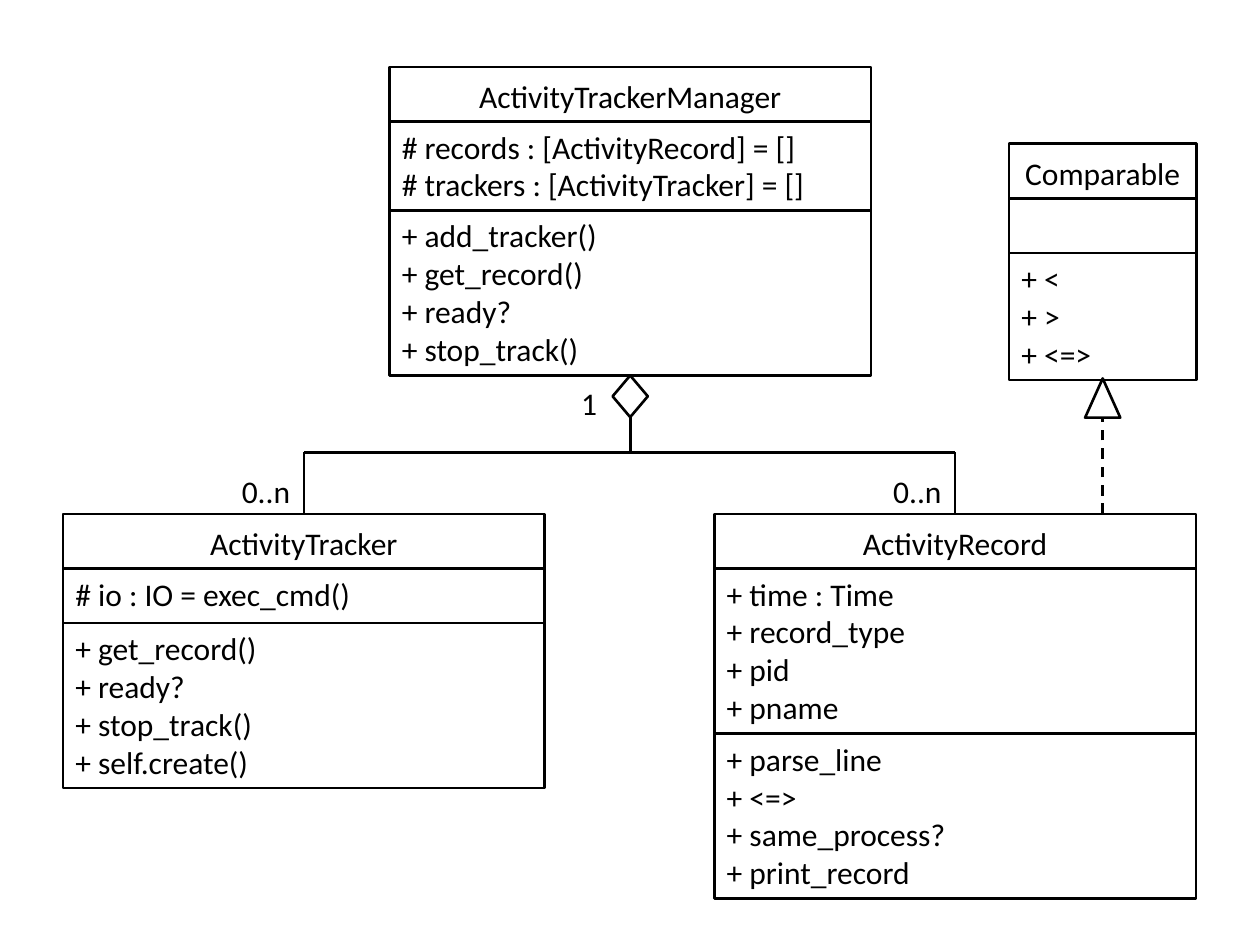
from dataclasses import dataclass

from lxml import etree
from pptx import Presentation
from pptx.dml.color import RGBColor
from pptx.enum.dml import MSO_LINE
from pptx.enum.shapes import MSO_CONNECTOR, MSO_SHAPE
from pptx.enum.text import MSO_AUTO_SIZE, PP_ALIGN
from pptx.oxml.ns import qn
from pptx.util import Cm, Pt

BLACK = RGBColor(0x00, 0x00, 0x00)
WHITE = RGBColor(0xFF, 0xFF, 0xFF)
STRAIGHT = MSO_CONNECTOR.STRAIGHT
RECTANGLE = MSO_SHAPE.RECTANGLE
DIAMOND = MSO_SHAPE.DIAMOND
TRIANGLE = MSO_SHAPE.ISOSCELES_TRIANGLE
DASH = MSO_LINE.DASH
LEFT, CENTER = PP_ALIGN.LEFT, PP_ALIGN.CENTER
FIT_SHAPE = MSO_AUTO_SIZE.SHAPE_TO_FIT_TEXT

FONT = "Calibri"
ROW = 1.1          # height of a title row and least height of a section, cm
LINE_HEIGHT = 0.77
TEXT_MARGIN = 0.25
TITLE_DROP = 0.08
SYMBOL_WIDTH = 0.71


@dataclass
class UmlClass:
    """A class box: place in cm, and each text with its width in cm."""
    left: float
    top: float
    width: float
    title: tuple
    sections: list

    @property
    def center(self):
        return self.left + self.width / 2

    @property
    def bottom(self):
        return self.top + ROW + sum(section_height(lines) for lines, _ in self.sections)


MANAGER = UmlClass(7.85, 1.35, 9.71, ("ActivityTrackerManager", 6.76), [
    (["# records : [ActivityRecord] = []", "# trackers : [ActivityTracker] = []"], 8.81),
    (["+ add_tracker()", "+ get_record()", "+ ready?", "+ stop_track()"], 4.52)])
TRACKER = UmlClass(1.27, 10.36, 9.71, ("ActivityTracker", 4.39), [
    (["# io : IO = exec_cmd()"], 6.15),
    (["+ get_record()", "+ ready?", "+ stop_track()", "+ self.create()"], 4.24)])
RECORD = UmlClass(14.4, 10.36, 9.71, ("ActivityRecord", 4.29), [
    (["+ time : Time", "+ record_type", "+ pid", "+ pname"], 4.17),
    (["+ parse_line", "+ <=>", "+ same_process?", "+ print_record"], 4.98)])
COMPARABLE = UmlClass(20.34, 2.9, 3.78, ("Comparable", 3.68), [
    ([], 0),
    (["+ <", "+ >", "+ <=>"], 1.93)])


def text_height(lines):
    """Return the height in cm of a text box with these lines."""
    return TEXT_MARGIN + LINE_HEIGHT * len(lines)


def section_height(lines):
    """Return the height in cm of a class section."""
    return max(ROW, text_height(lines))


def add_text(page, lines, left, top, width, align=LEFT, size=18, color=BLACK):
    """Add an unwrapped text box with one paragraph per line."""
    box = page.shapes.add_textbox(Cm(left), Cm(top), Cm(width), Cm(text_height(lines)))
    frame = box.text_frame
    frame.word_wrap = False
    frame.auto_size = FIT_SHAPE
    for index, line in enumerate(lines):
        para = frame.add_paragraph() if index else frame.paragraphs[0]
        para.alignment = align
        span = para.add_run()
        span.text = line
        span.font.name = FONT
        span.font.size = Pt(size)
        span.font.color.rgb = color


def add_line(page, x1, y1, x2, y2, dash=None):
    """Add a straight black line without a shadow."""
    line = page.shapes.add_connector(STRAIGHT, Cm(x1), Cm(y1), Cm(x2), Cm(y2))
    line.line.color.rgb = BLACK
    line.line.width = Pt(1.5)
    if dash is not None:
        line.line.dash_style = dash
    etree.SubElement(line._element.spPr, qn("a:effectLst"))


def add_outline(page, kind, left, top, width, height, fill=None):
    """Add a black outlined shape, filled only if a colour is given."""
    shape = page.shapes.add_shape(kind, Cm(left), Cm(top), Cm(width), Cm(height))
    shape.shadow.inherit = False
    shape.line.color.rgb = BLACK
    shape.line.width = Pt(1.5)
    if fill is None:
        shape.fill.background()
    else:
        shape.fill.solid()
        shape.fill.fore_color.rgb = fill


def add_class(page, uml):
    """Draw a class as a frame, a title and ruled sections."""
    add_outline(page, RECTANGLE, uml.left, uml.top, uml.width, uml.bottom - uml.top)
    title, title_width = uml.title
    add_text(page, [title], uml.center - title_width / 2, uml.top + TITLE_DROP,
             title_width, align=CENTER)
    top = uml.top + ROW
    for lines, width in uml.sections:
        add_line(page, uml.left, top, uml.left + uml.width, top)
        if lines:
            add_text(page, lines, uml.left, top, width)
        top += section_height(lines)


def add_symbol(page, kind, center, top, height):
    """Draw a white relation symbol centred below a class."""
    add_outline(page, kind, center - SYMBOL_WIDTH / 2, top, SYMBOL_WIDTH, height, fill=WHITE)


def add_aggregation(page, whole, parts, branch=9.12):
    """Join a whole to its parts with a diamond and multiplicities."""
    add_line(page, whole.center, branch, whole.center, whole.bottom)
    add_symbol(page, DIAMOND, whole.center, whole.bottom, 0.84)
    add_text(page, ["1"], whole.center - 1.24, whole.bottom + 0.05, 0.84)
    for part in parts:
        add_line(page, whole.center, branch, part.center, branch)
        add_line(page, part.center, branch, part.center, part.top)
        add_text(page, ["0..n"], part.center - 1.5, part.top - 0.96, 1.5)


def add_realization(page, child, parent):
    """Join a child to its interface with a dashed line and a triangle."""
    add_line(page, parent.center, child.top, parent.center, parent.bottom, dash=DASH)
    add_symbol(page, TRIANGLE, parent.center, parent.bottom - 0.03, 0.79)


def main():
    """Build the class diagram."""
    deck = Presentation()
    deck.slide_width, deck.slide_height = Cm(25.4), Cm(19.05)
    page = deck.slides.add_slide(deck.slide_layouts[6])
    for uml in (MANAGER, TRACKER, RECORD, COMPARABLE):
        add_class(page, uml)
    add_aggregation(page, MANAGER, [TRACKER, RECORD])
    add_realization(page, RECORD, COMPARABLE)
    deck.save("out.pptx")


main()
